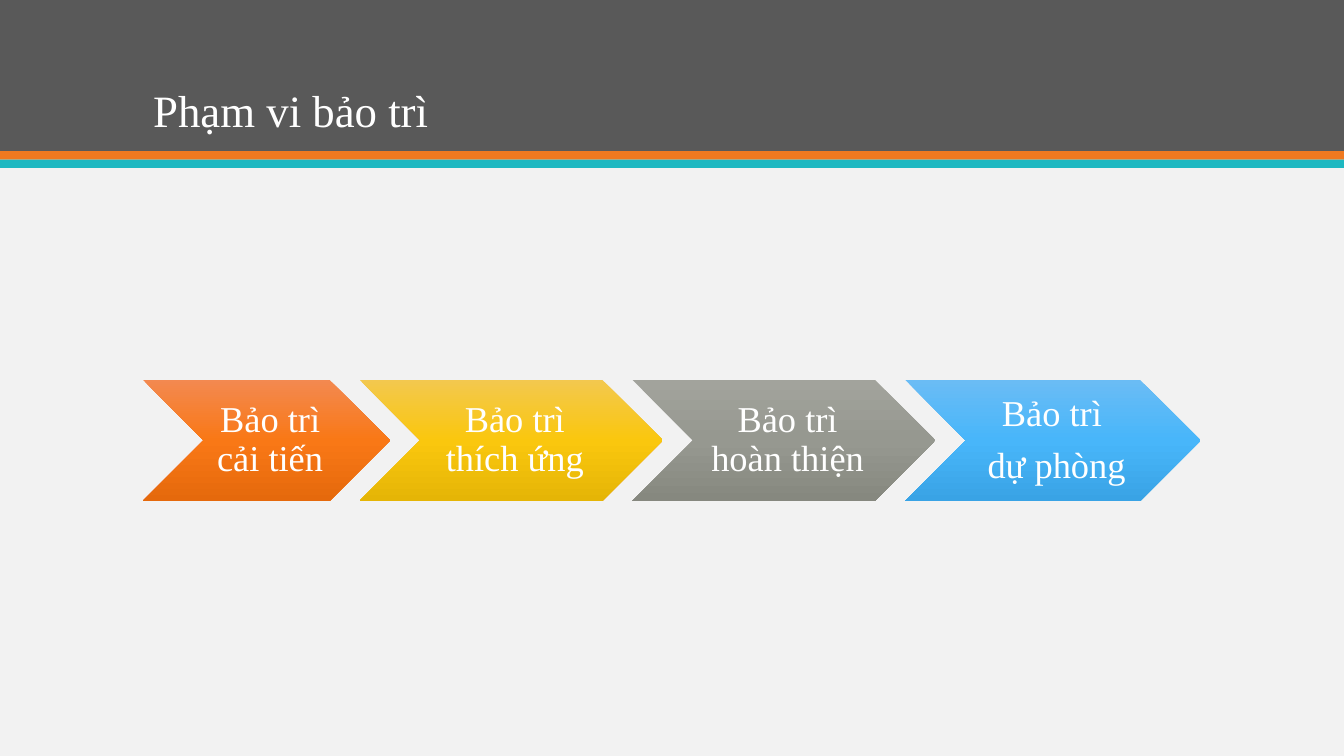
"""Build the slide on the four kinds of maintenance."""
from copy import deepcopy

from pptx import Presentation
from pptx.dml.color import RGBColor as Rgb
from pptx.enum.shapes import MSO_SHAPE as Kind
from pptx.enum.text import MSO_ANCHOR as Anchor, MSO_AUTO_SIZE as Fit, PP_ALIGN as Align
from pptx.oxml.ns import qn
from pptx.util import Pt

HUES = {
    "back": "F2F2F2",
    "band": "595959",
    "rust": "EF7920",
    "teal": "1EB8C1",
    "text": "FFFFFF",
    "orange": ("F38950", "F97816", "E5690C"),
    "yellow": ("F3C84E", "FAC70E", "E5B506"),
    "grey": ("A2A39C", "969890", "86887F"),
    "blue": ("6ABCF5", "48B6FA", "39A3E5"),
}
FONT = "Times New Roman"
WIDE, HIGH = 960, 540


def add_form(kind, left, top, width, height):
    form = slide.shapes.add_shape(kind, Pt(left), Pt(top), Pt(width), Pt(height))
    form.shadow.inherit = False
    form.line.fill.background()
    return form


def style(par, size, align):
    par.alignment = align
    par.line_spacing = 0.9
    for run in par.runs:
        run.font.name = FONT
        run.font.size = Pt(size)
        run.font.color.rgb = Rgb.from_string(HUES["text"])


deck = Presentation()
deck.slide_width, deck.slide_height = Pt(WIDE), Pt(HIGH)
slide = deck.slides.add_slide(deck.slide_layouts[5])
slide.background.fill.solid()
slide.background.fill.fore_color.rgb = Rgb.from_string(HUES["back"])

for hue, top, height in (("band", 0, 108), ("rust", 108, 6), ("teal", 114, 6)):
    bar = add_form(Kind.RECTANGLE, 0, top, WIDE, height)
    bar.fill.solid()
    bar.fill.fore_color.rgb = Rgb.from_string(HUES[hue])

title = slide.shapes.title
title.left, title.top, title.width, title.height = Pt(102.2), Pt(20), Pt(756), Pt(81.4)
slide.shapes._spTree.append(title._element)
frame = title.text_frame
frame.text = "Phạm vi bảo trì"
frame.auto_size = Fit.NONE
frame.vertical_anchor = Anchor.BOTTOM
style(frame.paragraphs[0], 32, Align.LEFT)

STEPS = (
    ("orange", 176.4, "Bảo trì cải tiến"),
    ("yellow", 216.4, "Bảo trì thích ứng"),
    ("grey", 216.4, "Bảo trì hoàn thiện"),
    ("blue", 211, "Bảo trì \ndự phòng"),
)
LAP = 21.6
left = 102.2
for hue, width, words in STEPS:
    step = add_form(Kind.CHEVRON, left, 271.4, width, 86.4)
    left += width - LAP

    step.fill.gradient()
    step.fill.gradient_angle = 270
    stops = step._element.spPr.find(qn("a:gradFill")).find(qn("a:gsLst"))
    stops.append(deepcopy(stops[-1]))
    for stop, place, tone in zip(step.fill.gradient_stops, (0, 0.5, 1), HUES[hue]):
        stop.position = place
        stop.color.rgb = Rgb.from_string(tone)

    frame = step.text_frame
    frame.text = words
    frame.word_wrap = True
    frame.vertical_anchor = Anchor.MIDDLE
    frame.margin_left = Pt(8)
    frame.margin_right = frame.margin_top = frame.margin_bottom = Pt(2.7)
    for par in frame.paragraphs:
        style(par, 26, Align.CENTER)
        par.space_after = Pt(9.1)

deck.save("out.pptx")
